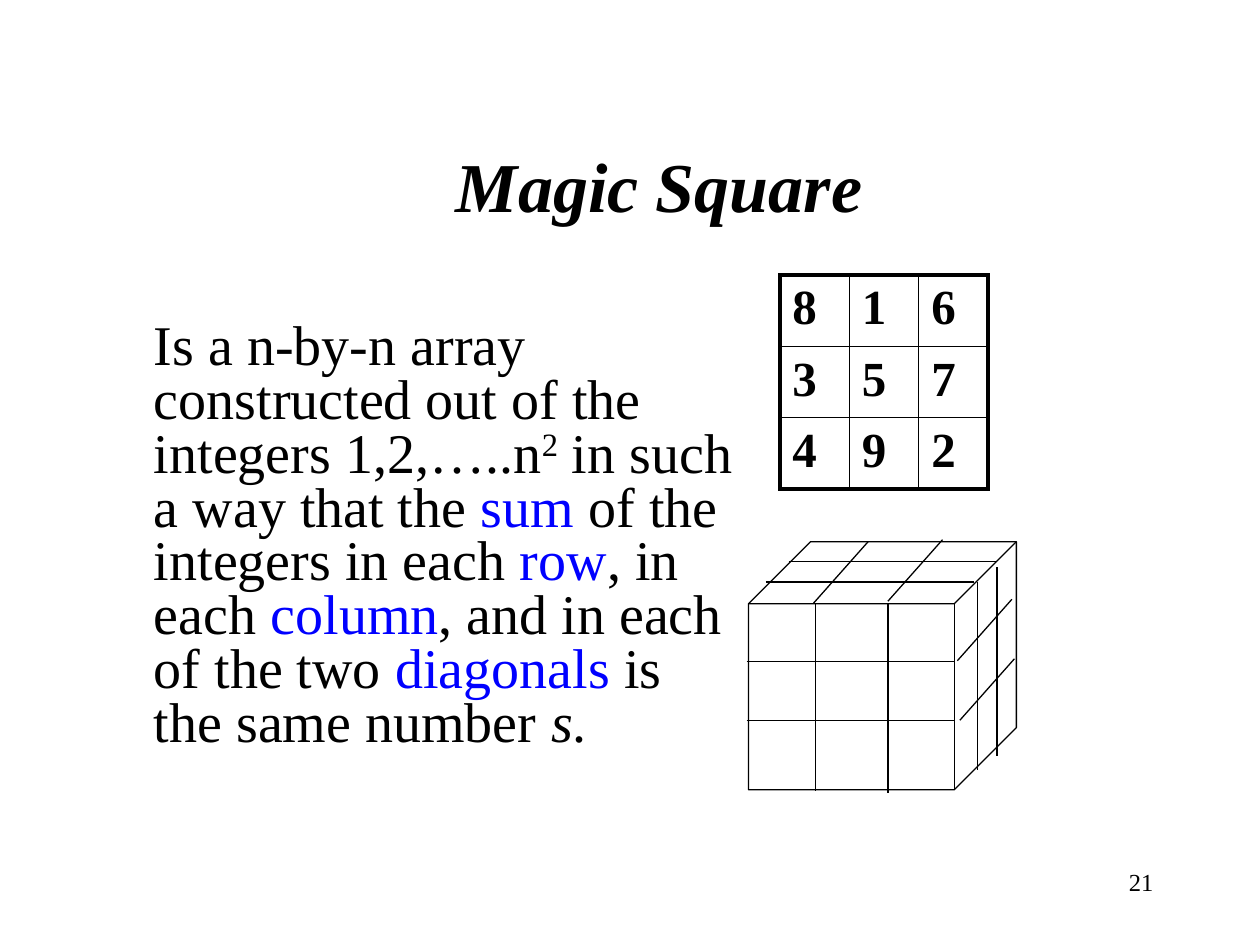
"""Build the Magic Square slide: definition, 3 by 3 table and gridded cube."""
from lxml.etree import SubElement
from pptx import Presentation
from pptx.dml.color import RGBColor
from pptx.enum.shapes import MSO_CONNECTOR, MSO_SHAPE
from pptx.enum.text import MSO_ANCHOR, PP_ALIGN
from pptx.oxml.ns import qn
from pptx.util import Cm, Pt

BLACK = RGBColor(0, 0, 0)
BLUE = RGBColor(0, 0, 255)
FONT = "Times New Roman"

TITLE = "Magic Square"
PAGE = "21"
DEFINITION = [
    ("Is a n-by-n array constructed out of the integers 1,2,…..n", ""),
    ("2", "super"),
    (" in such a way that the ", ""),
    ("sum", "key"),
    (" of the integers in each ", ""),
    ("row", "key"),
    (", in each ", ""),
    ("column", "key"),
    (", and in each of the two ", ""),
    ("diagonals", "key"),
    (" is the same number ", ""),
    ("s", "italic"),
    (".", ""),
]
SQUARE = [[8, 1, 6], [3, 5, 7], [4, 9, 2]]
CUBE_LINES = [
    ((4.2, 0), [(15.9, 11.32), (15.44, 11.73), (15.05, 13.33), (15.05, 14.53)]),
    ((0, 3.8), [(16.44, 12.15), (17.9, 12.18), (20.1, 11.44), (19.7, 11.73)]),
    ((-1.1, 1.24), [(17.5, 10.92), (19, 10.88), (20.4, 12.08), (20.45, 13.28)]),
]


def place(s, left, top, width, height):
    s.left, s.top, s.width, s.height = map(Cm, (left, top, width, height))


def style(p, size, bold=False):
    p.font.name, p.font.size, p.font.bold = FONT, Pt(size), bold
    p.font.color.rgb = BLACK


def border(cell, sides):
    tc_pr = cell._tc.get_or_add_tcPr()
    for tag, width in sides.items():
        ln = SubElement(tc_pr, qn(f"a:{tag}"), w=str(Pt(width)))
        fill = SubElement(ln, qn("a:solidFill"))
        SubElement(fill, qn("a:srgbClr"), val=str(BLACK))


def add_title(slide):
    s = slide.shapes.title
    place(s, 2.49, 2.13, 21.59, 3.18)
    s.text_frame.text = TITLE
    s.text_frame.vertical_anchor = MSO_ANCHOR.MIDDLE
    p = s.text_frame.paragraphs[0]
    p.alignment = PP_ALIGN.CENTER
    style(p, 40, True)
    p.font.italic = True


def add_definition(slide):
    s = slide.placeholders[1]
    place(s, 1.9, 6.38, 13.19, 10.56)
    p = s.text_frame.paragraphs[0]
    p.line_spacing, p.space_before = 0.8, Pt(0)
    style(p, 32)
    p_pr = p._p.get_or_add_pPr()
    p_pr.set("marL", str(Cm(0.95)))
    p_pr.set("indent", "0")
    p_pr.insert_element_before(p_pr.makeelement(qn("a:buNone"), {}), "a:tabLst", "a:defRPr")
    for text, kind in DEFINITION:
        r = p.add_run()
        r.text = text
        if kind == "super":
            r._r.get_or_add_rPr().set("baseline", "30000")
        elif kind == "key":
            r.font.color.rgb = BLUE
        elif kind == "italic":
            r.font.italic = True


def add_square(slide):
    n = len(SQUARE)
    s = slide.shapes.add_table(n, n, Cm(15.72), Cm(5.54), Cm(4.2), Cm(4.32))
    table = s.table
    table.first_row = table.horz_banding = False
    for i, row in enumerate(SQUARE):
        for j, value in enumerate(row):
            cell = table.cell(i, j)
            cell.text = str(value)
            style(cell.text_frame.paragraphs[0], 28, True)
            edges = {"lnL": j == 0, "lnR": j == n - 1, "lnT": i == 0, "lnB": i == n - 1}
            border(cell, {tag: 2.25 if outer else 1 for tag, outer in edges.items()})
            cell.fill.background()


def add_cube(slide):
    s = slide.shapes.add_shape(MSO_SHAPE.CUBE, Cm(15.09), Cm(10.92), Cm(5.4), Cm(5))
    s.shadow.inherit = False
    s.fill.background()
    s.line.color.rgb, s.line.width = BLACK, Pt(0.75)
    for (dx, dy), starts in CUBE_LINES:
        for x, y in starts:
            line = slide.shapes.add_connector(
                MSO_CONNECTOR.STRAIGHT, Cm(x), Cm(y), Cm(x + dx), Cm(y + dy))
            line.line.color.rgb, line.line.width = BLACK, Pt(0.75)
            SubElement(line._element.spPr, qn("a:effectLst"))


def add_page_number(slide):
    s = slide.shapes.add_textbox(Cm(18.2), Cm(17.35), Cm(5.3), Cm(1.27))
    s.text_frame.word_wrap = True
    p = s.text_frame.paragraphs[0]
    p.text, p.alignment = PAGE, PP_ALIGN.RIGHT
    style(p, 14)


def main():
    prs = Presentation()
    prs.slide_width, prs.slide_height = Cm(25.4), Cm(19.05)
    slide = prs.slides.add_slide(prs.slide_layouts[1])
    for add in (add_title, add_definition, add_square, add_cube, add_page_number):
        add(slide)
    prs.save("out.pptx")


if __name__ == "__main__":
    main()
